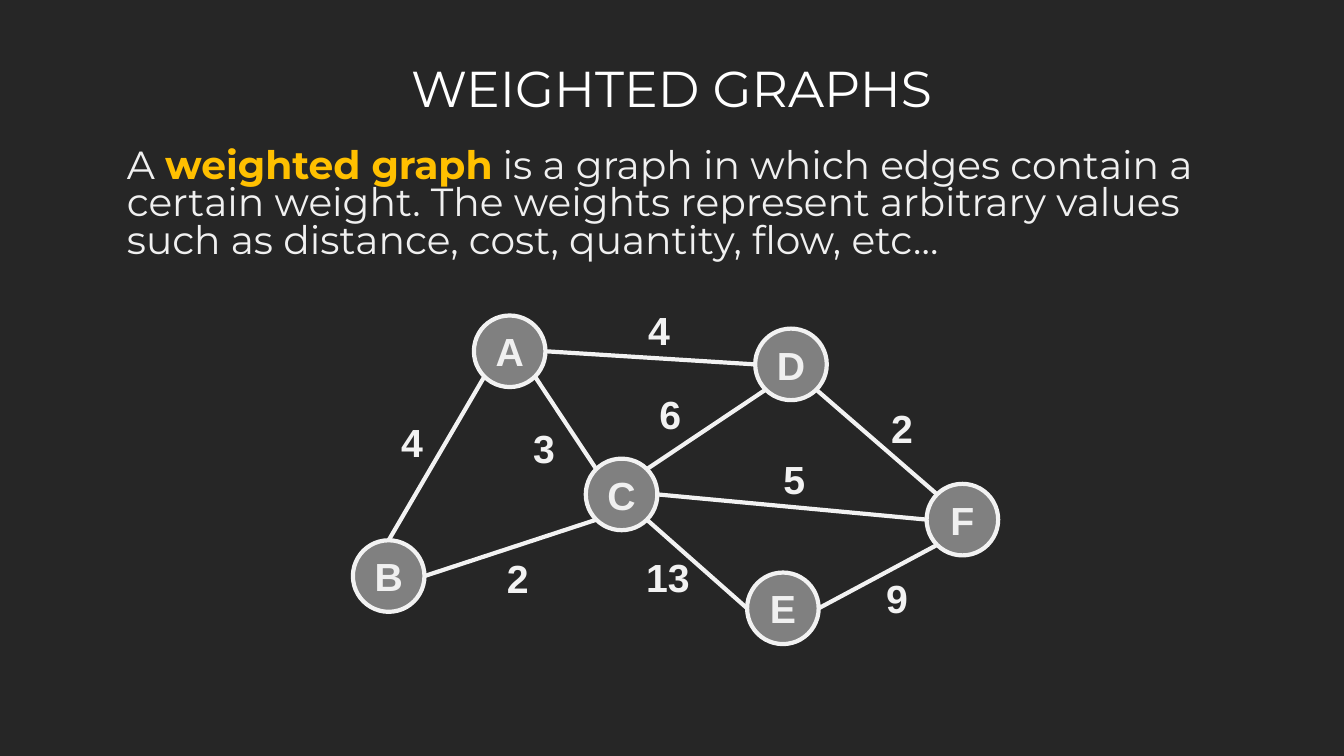
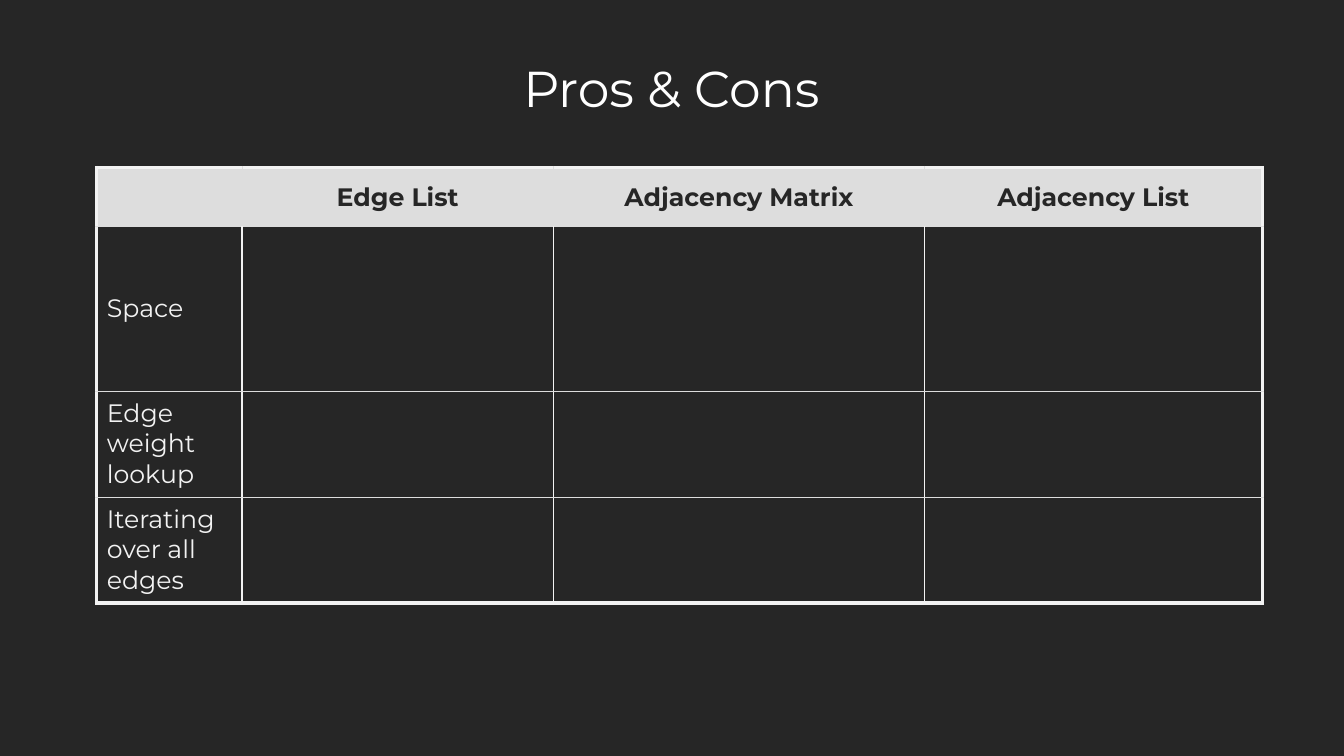
from math import cos, radians, sin

from lxml import etree
from pptx import Presentation
from pptx import util as u
from pptx.dml.color import RGBColor
from pptx.enum import shapes, text
from pptx.oxml import ns

DARK = RGBColor(0x26, 0x26, 0x26)
WHITE = RGBColor(0xFF, 0xFF, 0xFF)
PALE = RGBColor(0xF0, 0xF0, 0xF0)
LINE = RGBColor(0xF2, 0xF2, 0xF2)
SILVER = RGBColor(0xDD, 0xDD, 0xDD)
GRAY = RGBColor(0x80, 0x80, 0x80)
GOLD = RGBColor(0xFF, 0xC0, 0x00)
SANS, TITLE_FONT = "Arial", "Montserrat"


def px(*lengths):
    return [u.Emu(round(n * 9144)) for n in lengths]


def write(p, txt, font=SANS, size=28, color=PALE, bold=False, align=None):
    p.alignment = align
    r = p.add_run()
    r.text = txt
    r.font.name = font
    r.font.size = u.Pt(size)
    r.font.bold = bold
    r.font.color.rgb = color


CENTER = text.PP_ALIGN.CENTER
MIDDLE = text.MSO_ANCHOR.MIDDLE

prs = Presentation()
prs.slide_width, prs.slide_height = u.Inches(13.33), u.Inches(7.5)
bg = prs.slide_master.background.fill
bg.solid()
bg.fore_color.rgb = DARK

slides = []
for title in ("WEIGHTED GRAPHS", "Pros & Cons"):
    s = prs.slides.add_slide(prs.slide_layouts[6])
    tf = s.shapes.add_textbox(*px(115, 40, 1102, 82)).text_frame
    tf.word_wrap = True
    tf.vertical_anchor = text.MSO_ANCHOR.BOTTOM
    p = tf.paragraphs[0]
    p.line_spacing = 0.9
    write(p, title, font=TITLE_FONT, size=36, color=WHITE, align=CENTER)
    slides.append(s)
graph, pros = slides

tf = graph.shapes.add_textbox(*px(116, 143, 1102, 134)).text_frame
tf.word_wrap = True
p = tf.paragraphs[0]
p.line_spacing = 0.8
p.space_before = u.Pt(10)
write(p, "A ", font=TITLE_FONT)
write(p, "weighted graph", font=TITLE_FONT, color=GOLD, bold=True)
write(p, " is a graph in which edges contain a certain weight. The weights represent "
         "arbitrary values such as distance, cost, quantity, flow, etc…", font=TITLE_FONT)

NODE = 71
NODES = {"A": (470, 313), "F": (919, 480), "B": (350, 536),
         "C": (581, 455), "D": (749, 326), "E": (741, 568)}
for name, (x, y) in NODES.items():
    sp = graph.shapes.add_shape(shapes.MSO_SHAPE.OVAL, *px(x, y, NODE, NODE))
    sp.shadow.inherit = False
    sp.fill.solid()
    sp.fill.fore_color.rgb = GRAY
    sp.line.color.rgb = LINE
    sp.line.width = u.Pt(3)
    tf = sp.text_frame
    tf.word_wrap = False
    tf.vertical_anchor = MIDDLE
    write(tf.paragraphs[0], name, bold=True, align=CENTER)

RIGHT, LOW_RIGHT, LOW_LEFT, LEFT, UP_LEFT, UP, UP_RIGHT = 0, 45, 135, 180, 225, 270, 315
EDGES = [("A", RIGHT, "D", LEFT), ("A", LOW_LEFT, "B", UP), ("A", LOW_RIGHT, "C", UP_LEFT),
         ("B", RIGHT, "C", LOW_LEFT), ("C", LOW_RIGHT, "E", LEFT), ("E", RIGHT, "F", LOW_LEFT),
         ("C", RIGHT, "F", LEFT), ("D", LOW_RIGHT, "F", UP_LEFT), ("C", UP_RIGHT, "D", LOW_LEFT)]
for start, start_angle, end, end_angle in EDGES:
    points = []
    for name, angle in ((start, start_angle), (end, end_angle)):
        x, y = NODES[name]
        points += [x + NODE / 2 * (1 + cos(radians(angle))),
                   y + NODE / 2 * (1 + sin(radians(angle)))]
    edge = graph.shapes.add_connector(shapes.MSO_CONNECTOR.STRAIGHT, *px(*points))
    edge.line.color.rgb = LINE
    edge.line.width = u.Pt(3)
    etree.SubElement(edge._element.spPr, ns.qn("a:effectLst"))

WEIGHTS = [("4", 633, 299), ("2", 874, 396), ("9", 869, 565), ("5", 767, 447), ("3", 519, 416),
           ("4", 388, 410), ("2", 493, 545), ("6", 644, 382), ("13", 631, 544)]
for weight, x, y in WEIGHTS:
    width = 20 + 22 * len(weight)
    tf = graph.shapes.add_textbox(*px(x, y, width, 57)).text_frame
    tf.word_wrap = False
    write(tf.paragraphs[0], weight, color=LINE, bold=True)

COLS = [144, 309, 368, 335]
ROWS = [59, 163, 105, 105]
HEADS = ["", "Edge List", "Adjacency Matrix", "Adjacency List"]
LABELS = ["", "Space", "Edge weight lookup", "Iterating over all edges"]
frame = pros.shapes.add_table(len(ROWS), len(COLS), *px(96, 166, sum(COLS), sum(ROWS)))
tbl = frame.table
tbl.horz_banding = False
for col, width in zip(tbl.columns, px(*COLS)):
    col.width = width
for row, height in zip(tbl.rows, px(*ROWS)):
    row.height = height

OUTER, BOTTOM, RULE = (LINE, 2.25), (LINE, 3), (SILVER, 0.5)
for i in range(len(ROWS)):
    for j in range(len(COLS)):
        cell = tbl.cell(i, j)
        cell.vertical_anchor = MIDDLE
        if i == 0:
            cell.fill.solid()
            cell.fill.fore_color.rgb = SILVER
        else:
            cell.fill.background()
        p = cell.text_frame.paragraphs[0]
        if i == 0 and j > 0:
            write(p, HEADS[j], font=TITLE_FONT, size=18, color=DARK, bold=True, align=CENTER)
        elif i > 0 and j == 0:
            write(p, LABELS[i], font=TITLE_FONT, size=18, color=LINE)
        inner = (LINE, 1) if i else RULE
        borders = {"lnL": OUTER if j == 0 else inner,
                   "lnR": OUTER if j == len(COLS) - 1 else inner,
                   "lnT": OUTER if i == 0 else RULE,
                   "lnB": BOTTOM if i == len(ROWS) - 1 else RULE}
        tcPr = cell._tc.get_or_add_tcPr()
        for k, (side, (color, width)) in enumerate(borders.items()):
            ln = etree.Element(ns.qn("a:" + side), w=str(u.Pt(width)))
            fill = etree.SubElement(ln, ns.qn("a:solidFill"))
            etree.SubElement(fill, ns.qn("a:srgbClr"), val=str(color))
            tcPr.insert(k, ln)

prs.save("out.pptx")
